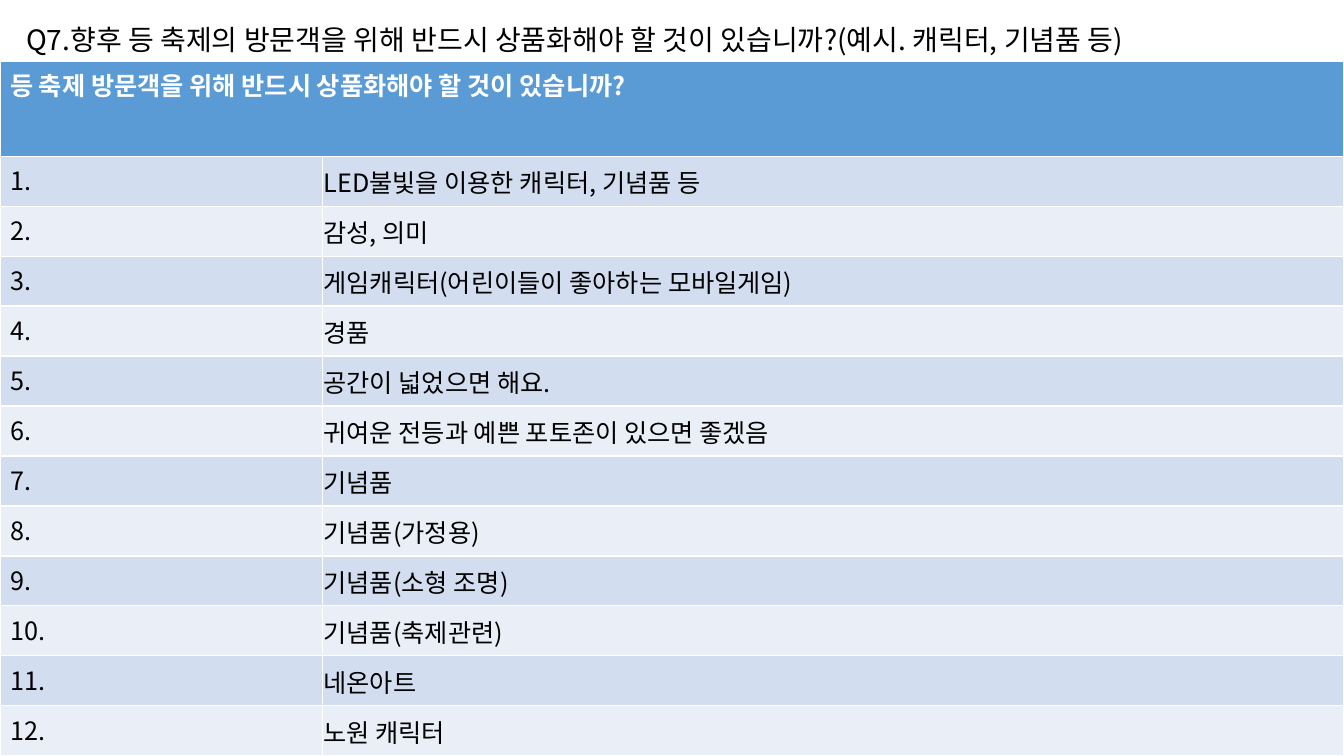
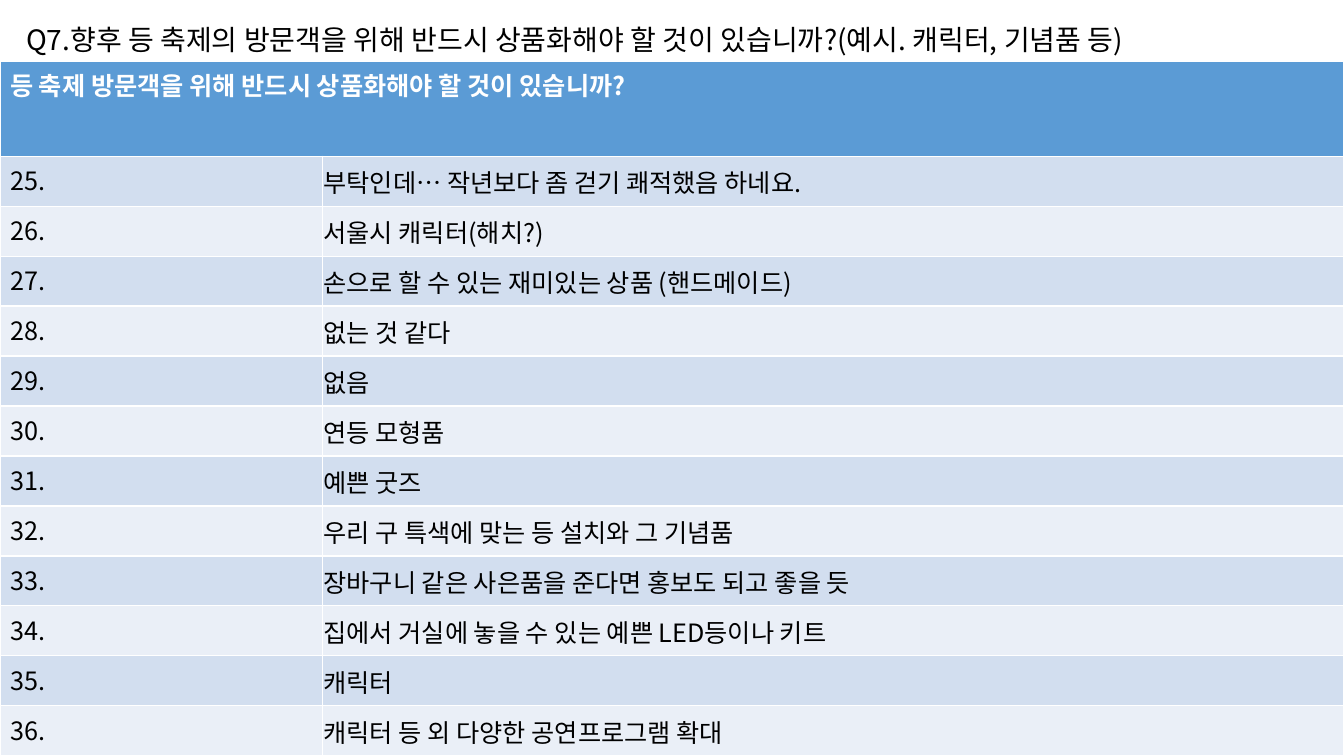
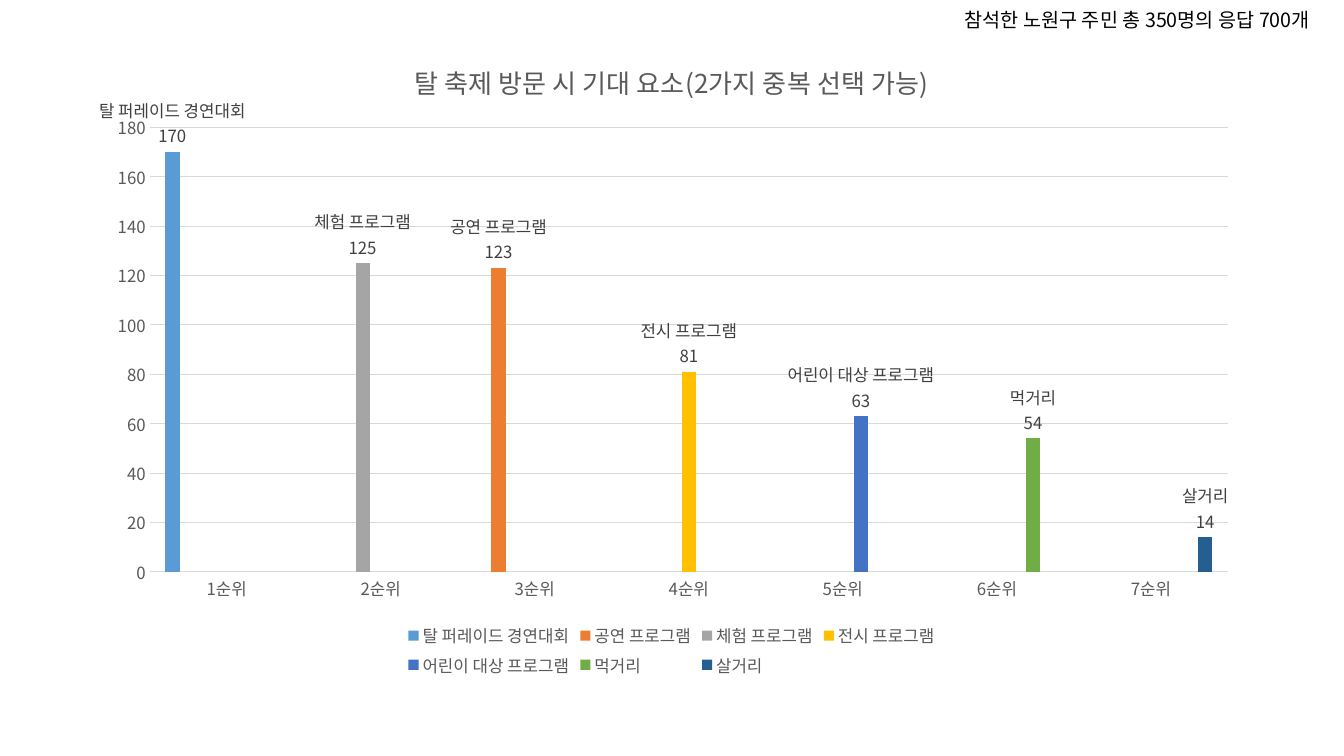
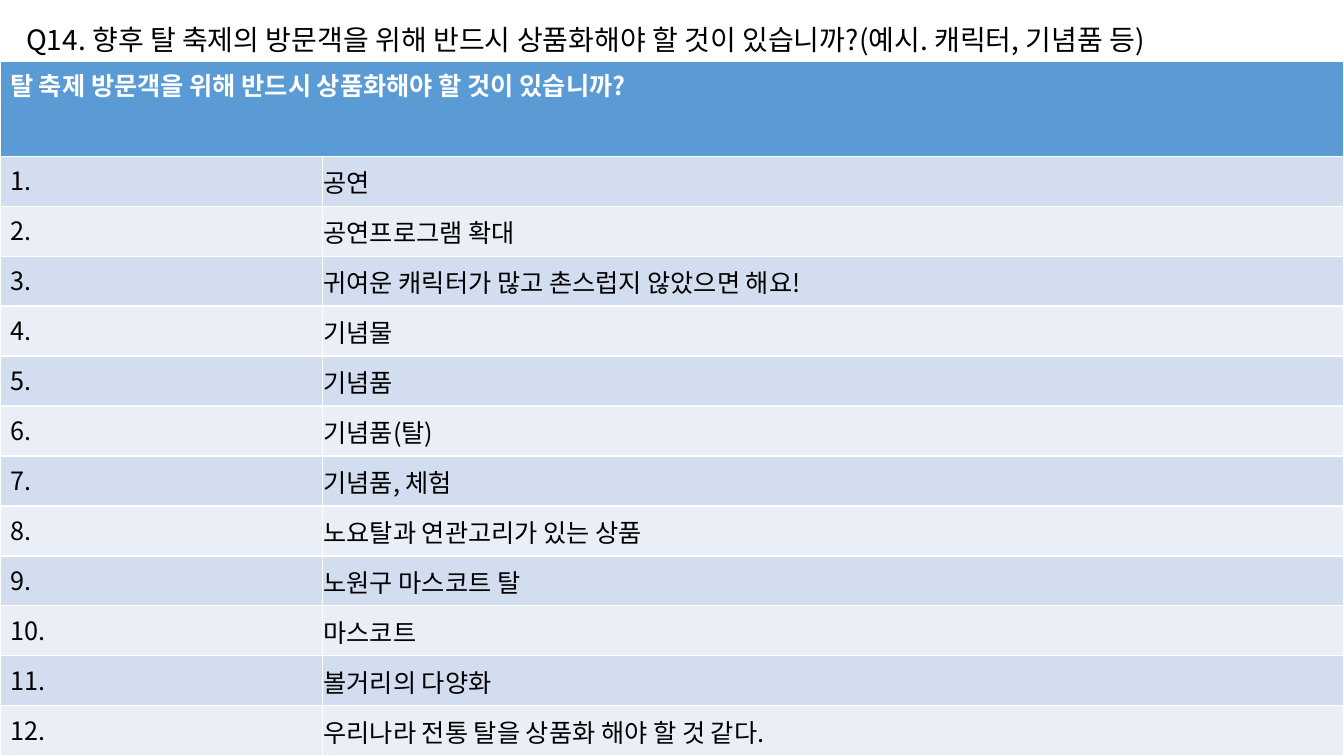
from lxml import etree
from pptx import Presentation
from pptx import util as u
from pptx.chart.data import CategoryChartData
from pptx.dml.color import RGBColor
from pptx.enum import chart as ch
from pptx.enum import text as tx
from pptx.oxml import parse_xml
from pptx.oxml.ns import nsdecls, qn

WIDE, HIGH = 13.33, 7.5
FACE = "Noto Sans CJK KR"
TINT = {
    "ink": "000000", "paper": "FFFFFF", "head": "5B9BD5",
    "odd": "D2DEEF", "even": "EAEFF7",
    "grid": "D9D9D9", "axis": "595959", "label": "404040",
}
STYLE = {
    "title": {"size": 20, "bold": False, "color": "ink"},
    "note": {"size": 14, "bold": False, "color": "ink"},
    "head": {"size": 18, "bold": True, "color": "paper"},
    "body": {"size": 18, "bold": False, "color": "ink"},
    "chart": {"size": 18.6, "bold": False, "color": "axis"},
    "axis": {"size": 12, "bold": False, "color": "axis"},
    "label": {"size": 12, "bold": False, "color": "label"},
}
TITLE_ONLY, BLANK = 5, 6

TABLE_TOP = 0.61
HEAD_ROW = 0.94
NUM_COL = 0.24 * WIDE
TIGHT = {"margin_left": 0.01, "margin_right": 0.01,
         "margin_top": 0.01, "margin_bottom": 0}

Q7 = "Q7.향후 등 축제의 방문객을 위해 반드시 상품화해야 할 것이 있습니까?(예시. 캐릭터, 기념품 등)"
Q14 = "Q14. 향후 탈 축제의 방문객을 위해 반드시 상품화해야 할 것이 있습니까?(예시. 캐릭터, 기념품 등)"
ASK = "{} 축제 방문객을 위해 반드시 상품화해야 할 것이 있습니까?"

# title, festival, first number, answers
LAMP_A = [
    "LED불빛을 이용한 캐릭터, 기념품 등", "감성, 의미",
    "게임캐릭터(어린이들이 좋아하는 모바일게임)", "경품",
    "공간이 넓었으면 해요.", "귀여운 전등과 예쁜 포토존이 있으면 좋겠음",
    "기념품", "기념품(가정용)", "기념품(소형 조명)", "기념품(축제관련)",
    "네온아트", "노원 캐릭터",
]
LAMP_B = [
    "부탁인데… 작년보다 좀 걷기 쾌적했음 하네요.", "서울시 캐릭터(해치?)",
    "손으로 할 수 있는 재미있는 상품 (핸드메이드)", "없는 것 같다", "없음",
    "연등 모형품", "예쁜 굿즈", "우리 구 특색에 맞는 등 설치와 그 기념품",
    "장바구니 같은 사은품을 준다면 홍보도 되고 좋을 듯",
    "집에서 거실에 놓을 수 있는 예쁜 LED등이나 키트", "캐릭터",
    "캐릭터 등 외 다양한 공연프로그램 확대",
]
MASK = [
    "공연", "공연프로그램 확대", "귀여운 캐릭터가 많고 촌스럽지 않았으면 해요!",
    "기념물", "기념품", "기념품(탈)", "기념품, 체험",
    "노요탈과 연관고리가 있는 상품", "노원구 마스코트 탈", "마스코트",
    "볼거리의 다양화", "우리나라 전통 탈을 상품화 해야 할 것 같다.",
]

NOTE = "참석한 노원구 주민 총 350명의 응답 700개"
HOPES = "탈 축제 방문 시 기대 요소(2가지 중복 선택 가능)"
# name, rank, votes, colour
VOTES = [
    ("탈 퍼레이드 경연대회", 1, 170, "5B9BD5"),
    ("공연 프로그램", 3, 123, "ED7D31"),
    ("체험 프로그램", 2, 125, "A5A5A5"),
    ("전시 프로그램", 4, 81, "FFC000"),
    ("어린이 대상 프로그램", 5, 63, "4472C4"),
    ("먹거리", 6, 54, "70AD47"),
    ("살거리", 7, 14, "255E91"),
]
PLOT = {"x": 0.05, "y": 0.14, "w": 0.93, "h": 0.69}


def rgb(name):
    return RGBColor.from_string(TINT.get(name, name))


def paint(fill, name):
    fill.solid()
    fill.fore_color.rgb = rgb(name)


def dress(font, style):
    """Give a font the named style, with one face for Latin and Korean."""
    look = STYLE[style]
    for key, val in {"name": FACE, "size": u.Pt(look["size"]),
                     "bold": look["bold"]}.items():
        setattr(font, key, val)
    font.color.rgb = rgb(look["color"])
    etree.SubElement(font._rPr, qn("a:ea"), typeface=FACE)


def write(frame, words, style):
    run = frame.paragraphs[0].add_run()
    run.text = words
    dress(run.font, style)


def place(shape, left, top, width, height):
    for key, val in zip(("left", "top", "width", "height"),
                        (left, top, width, height)):
        setattr(shape, key, u.Inches(val))


def line_of(shape, words, style):
    """Write one unwrapped line at the top left of a shape."""
    frame = shape.text_frame
    for key, val in {"word_wrap": False,
                     "auto_size": tx.MSO_AUTO_SIZE.SHAPE_TO_FIT_TEXT,
                     "vertical_anchor": tx.MSO_ANCHOR.TOP}.items():
        setattr(frame, key, val)
    frame.paragraphs[0].alignment = tx.PP_ALIGN.LEFT
    write(frame, words, style)


def fill_cell(cell, words, style, tint):
    paint(cell.fill, tint)
    write(cell.text_frame, words, style)


def add_list(slide, head, first, items):
    """Add the numbered answers under a header that spans both columns."""
    tall = HIGH - TABLE_TOP
    table = slide.shapes.add_table(
        len(items) + 1, 2, 0, u.Inches(TABLE_TOP),
        u.Inches(WIDE), u.Inches(tall)).table
    for col, width in zip(table.columns, (NUM_COL, WIDE - NUM_COL)):
        col.width = u.Inches(width)
    for row in table.rows:
        row.height = u.Inches((tall - HEAD_ROW) / len(items))
    table.rows[0].height = u.Inches(HEAD_ROW)

    table.cell(0, 0).merge(table.cell(0, 1))
    fill_cell(table.cell(0, 0), head, "head", "head")
    for row, item in enumerate(items, 1):
        tint = "odd" if row % 2 else "even"
        fill_cell(table.cell(row, 0), f"{first + row - 1}.", "body", tint)
        answer = table.cell(row, 1)
        fill_cell(answer, item, "body", tint)
        answer.vertical_anchor = tx.MSO_ANCHOR.MIDDLE
        for key, val in TIGHT.items():
            setattr(answer, key, u.Inches(val))


def list_slide(deck, title, feast, first, items):
    slide = deck.slides.add_slide(deck.slide_layouts[TITLE_ONLY])
    place(slide.shapes.title, 0.16, 0.17, 12.25, 0.44)
    line_of(slide.shapes.title, title, "title")
    add_list(slide, ASK.format(feast), first, items)


def draw_line(line, tint):
    line.color.rgb = rgb(tint)
    line.width = u.Pt(0.75)


def format_axes(chart):
    for axis in (chart.category_axis, chart.value_axis):
        axis.major_tick_mark = axis.minor_tick_mark = ch.XL_TICK_MARK.NONE
        dress(axis.tick_labels.font, "axis")
    draw_line(chart.category_axis.format.line, "grid")
    votes = chart.value_axis
    for key, val in {"minimum_scale": 0, "maximum_scale": 180,
                     "major_unit": 20}.items():
        setattr(votes, key, val)
    votes.format.line.fill.background()
    draw_line(votes.major_gridlines.format.line, "grid")


def format_bars(series, tint):
    paint(series.format.fill, tint)
    labels = series.data_labels
    for key, val in {"show_value": True, "show_series_name": True,
                     "position": ch.XL_LABEL_POSITION.OUTSIDE_END}.items():
        setattr(labels, key, val)
    dress(labels.font, "label")
    mark = etree.Element(qn("c:separator"))
    mark.text = "\n"
    labels._element.find(qn("c:showBubbleSize")).addnext(mark)


def fix_plot(chart):
    """Pin the inner plot area to shares of the chart."""
    area = chart._chartSpace.chart.plotArea
    for old in area.findall(qn("c:layout")):
        area.remove(old)
    modes = "".join(f'<c:{k}Mode val="edge"/>' for k in "xy")
    sizes = "".join(f'<c:{k} val="{v}"/>' for k, v in PLOT.items())
    area.insert(0, parse_xml(
        f'<c:layout {nsdecls("c")}><c:manualLayout>'
        f'<c:layoutTarget val="inner"/>{modes}{sizes}'
        f'</c:manualLayout></c:layout>'))


def add_votes(slide):
    ranks = range(1, len(VOTES) + 1)
    data = CategoryChartData()
    data.categories = [f"{rank}순위" for rank in ranks]
    for name, place_no, count, _ in VOTES:
        data.add_series(name, [count if r == place_no else None
                               for r in ranks])
    box = [u.Inches(v) for v in (0.91, 0.37, 11.5, 6.39)]
    chart = slide.shapes.add_chart(
        ch.XL_CHART_TYPE.COLUMN_CLUSTERED, *box, data).chart

    chart.has_title = True
    write(chart.chart_title.text_frame, HOPES, "chart")
    chart.chart_title.include_in_layout = False
    chart.has_legend = True
    chart.legend.position = ch.XL_LEGEND_POSITION.BOTTOM
    chart.legend.include_in_layout = False
    dress(chart.legend.font, "axis")

    plot = chart.plots[0]
    for key, val in {"gap_width": 219, "overlap": -27,
                     "vary_by_categories": False}.items():
        setattr(plot, key, val)
    for series, vote in zip(plot.series, VOTES):
        format_bars(series, vote[-1])
    format_axes(chart)
    fix_plot(chart)


def vote_slide(deck):
    slide = deck.slides.add_slide(deck.slide_layouts[BLANK])
    add_votes(slide)
    note = slide.shapes.add_textbox(0, 0, 0, 0)
    place(note, 9.47, 0.03, 4.08, 0.34)
    line_of(note, NOTE, "note")


def main():
    deck = Presentation()
    deck.slide_width, deck.slide_height = u.Inches(WIDE), u.Inches(HIGH)
    list_slide(deck, Q7, "등", 1, LAMP_A)
    list_slide(deck, Q7, "등", 25, LAMP_B)
    vote_slide(deck)
    list_slide(deck, Q14, "탈", 1, MASK)
    deck.save("out.pptx")


if __name__ == "__main__":
    main()
